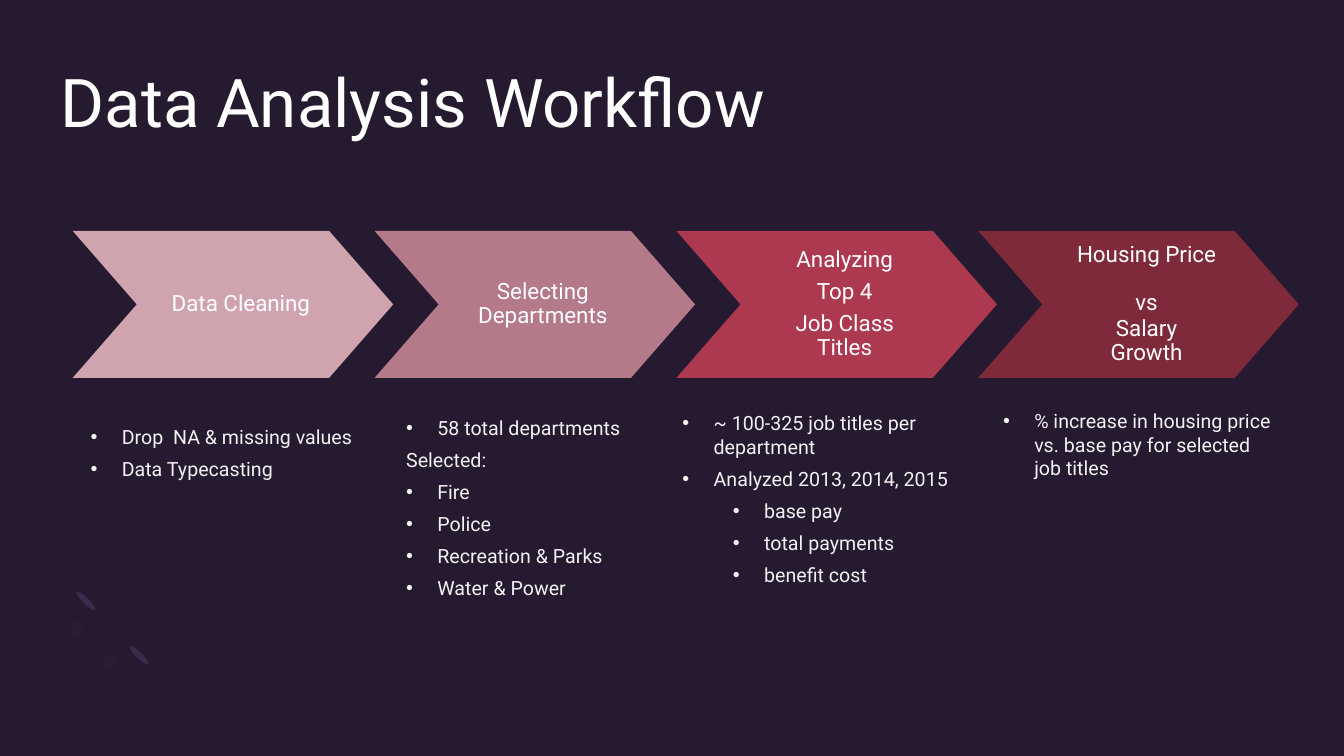
"""Build the data analysis workflow slide."""
from lxml.etree import SubElement
from pptx import Presentation
from pptx.dml.color import RGBColor
from pptx.enum.shapes import MSO_SHAPE
from pptx.enum.text import MSO_ANCHOR, PP_ALIGN
from pptx.oxml.ns import qn
from pptx.util import Inches, Pt


def paint(fill, color, alpha=100):
    fill.solid()
    fill.fore_color.rgb = RGBColor.from_string(color)
    if alpha < 100:
        tint = fill._xPr.find(".//" + qn("a:srgbClr"))
        SubElement(tint, qn("a:alpha"), val=str(alpha * 1000))


def write(para, text, size, color):
    para.text = text
    para.font.name = "Roboto"
    para.font.size = Pt(size)
    para.font.color.rgb = RGBColor.from_string(color)


deck = Presentation()
deck.slide_width, deck.slide_height = Inches(13.33), Inches(7.5)
slide = deck.slides.add_slide(deck.slide_layouts[6])
paint(slide.background.fill, "251A2F")
shapes = slide.shapes

marks = [
    (1.35, 6.37, 0.06, 0.26, 135, "3B2A4B"),
    (0.82, 5.83, 0.06, 0.26, 135, "3B2A4B"),
    (0.71, 6.16, 0.12, 0.16, 0, "291D34"),
    (1.01, 6.51, 0.16, 0.12, 0, "291D34"),
]
for left, top, width, height, turn, color in marks:
    mark = shapes.add_shape(MSO_SHAPE.OVAL, Inches(left), Inches(top), Inches(width), Inches(height))
    mark.rotation = turn
    mark.shadow.inherit = False
    mark.line.fill.background()
    paint(mark.fill, color)

title = shapes.add_textbox(Inches(0.6), Inches(0.6), Inches(12.13), Inches(1.46))
frame = title.text_frame
frame.word_wrap = True
for side in ("left", "top", "right", "bottom"):
    setattr(frame, "margin_" + side, 0)
write(frame.paragraphs[0], "Data Analysis Workflow", 48, "FFFFFF")

steps = [
    ("E7B8C1", 88, ["Data Cleaning"], 0),
    ("DB94A2", 79, ["Selecting Departments"], 0),
    ("AC3950", 100, ["Analyzing", "Top 4", "Job Class Titles"], 5.6),
    ("7F2A3A", 100, ["Housing Price", "vs", "Salary\vGrowth"], 0.7),
]
form = {
    "margin_left": Inches(0.32), "margin_right": Inches(0.16),
    "margin_top": Inches(0.08), "margin_bottom": Inches(0.08),
    "vertical_anchor": MSO_ANCHOR.MIDDLE, "word_wrap": True,
}
for spot, (color, alpha, lines, gap) in enumerate(steps):
    step = shapes.add_shape(
        MSO_SHAPE.CHEVRON, Inches(0.72 + spot * 2.994), Inches(2.29), Inches(3.18), Inches(1.46))
    step.adjustments[0] = 0.436
    step.shadow.inherit = False
    step.line.fill.background()
    paint(step.fill, color, alpha)
    frame = step.text_frame
    for key, value in form.items():
        setattr(frame, key, value)
    for row, line in enumerate(lines):
        para = frame.add_paragraph() if row else frame.paragraphs[0]
        write(para, line, 16, "FFFFFF")
        para.alignment = PP_ALIGN.CENTER
        para.line_spacing = 0.9
        if row:
            para.space_before = Pt(17 if line == "vs" else gap)

notes = [
    (0.8, 4.17, 2.96, 0.66, [(0, "Drop  NA & missing values"), (0, "Data Typecasting")]),
    (3.93, 4.08, 2.96, 1.94, [
        (0, "58 total departments"), (None, "Selected:"), (0, "Fire"), (0, "Police"),
        (0, "Recreation & Parks"), (0, "Water & Power")]),
    (6.67, 4.03, 3.18, 2.17, [
        (0, "~ 100-325 job titles per department"), (0, "Analyzed 2013, 2014, 2015"),
        (1, "base pay"), (1, "total payments"), (1, "benefit cost")]),
    (9.85, 4.01, 2.96, 0.81, [
        (0, "% increase in housing price vs. base pay for selected job titles")]),
]
for left, top, width, height, items in notes:
    box = shapes.add_textbox(Inches(left), Inches(top), Inches(width), Inches(height))
    frame = box.text_frame
    frame.word_wrap = True
    for row, (level, text) in enumerate(items):
        para = frame.add_paragraph() if row else frame.paragraphs[0]
        if row:
            para.space_before = Pt(6)
        if level is not None:
            para.level = level
            props = para._p.get_or_add_pPr()
            props.set("marL", str(Inches(0.31 + level * 0.5)))
            props.set("indent", str(Inches(-0.31)))
            SubElement(props, qn("a:buFont"), typeface="Arial")
            SubElement(props, qn("a:buChar"), char="•")
        write(para, text, 14, "F2F2F2")

deck.save("out.pptx")
